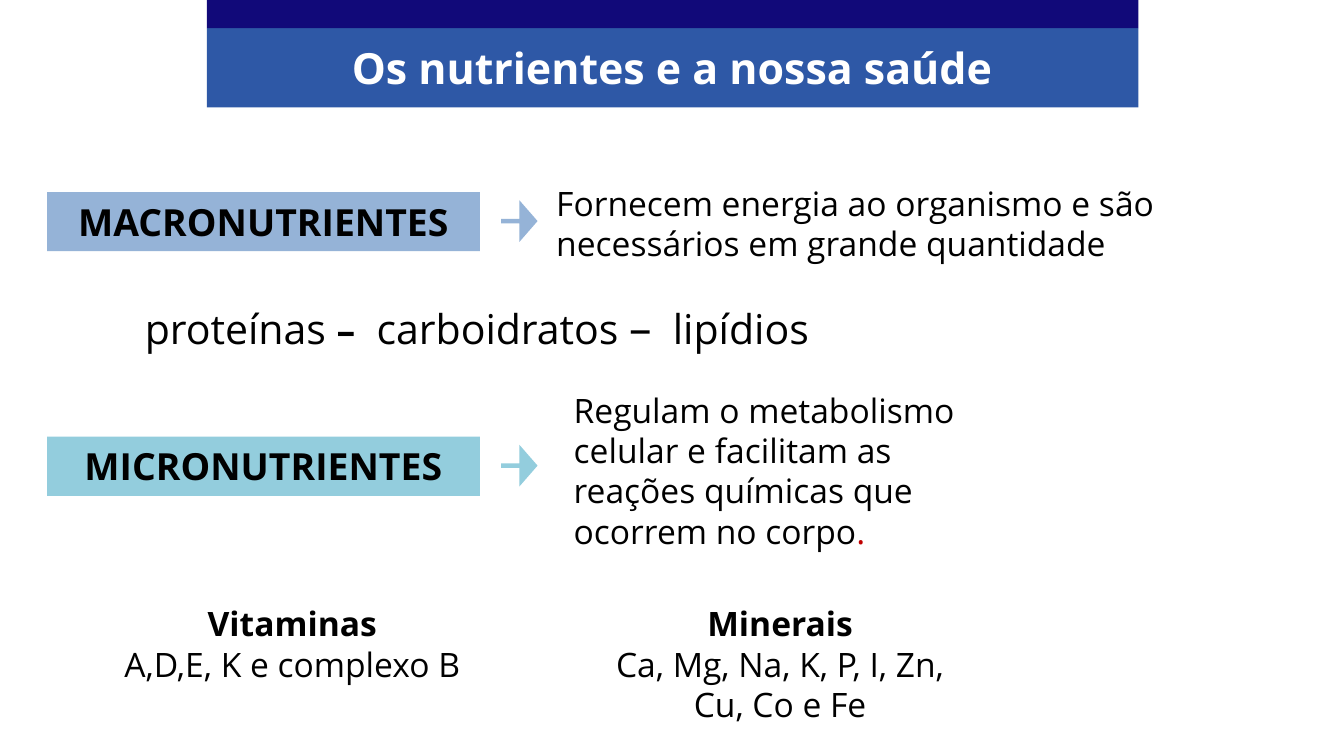
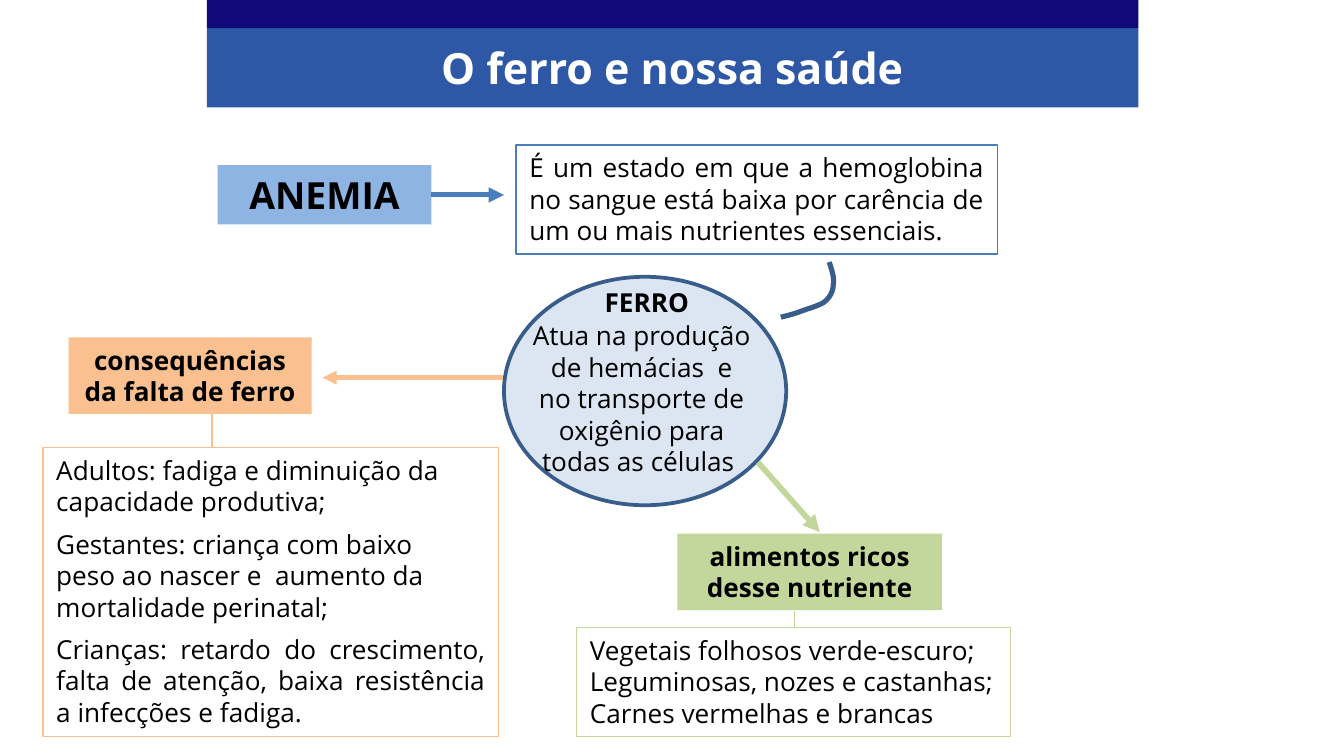
from dataclasses import dataclass
from typing import Optional

from lxml import etree
from pptx import Presentation
from pptx import util as u
from pptx.dml import color
from pptx.enum import shapes, text
from pptx.oxml import ns

LEFT = text.PP_ALIGN.LEFT
CENTER = text.PP_ALIGN.CENTER
JUSTIFY = text.PP_ALIGN.JUSTIFY
RECTANGLE = shapes.MSO_SHAPE.RECTANGLE


@dataclass(frozen=True)
class Theme:
    font: str = "Open Sans"
    white: str = "FFFFFF"
    black: str = "000000"
    red: str = "C00000"
    navy: str = "110979"
    band: str = "2E58A6"
    macro: str = "95B3D7"
    micro: str = "93CDDD"
    anemia: str = "8EB4E3"
    anemia_line: str = "4A7EBB"
    iron: str = "DCE6F2"
    iron_line: str = "385D8A"
    effects: str = "FAC090"
    foods: str = "C3D69B"
    title: float = 23
    label: float = 20
    nutrients: float = 22
    dash: float = 24
    body: float = 18
    small: float = 14


THEME = Theme()


@dataclass(frozen=True)
class Area:
    left: float
    top: float
    width: float
    height: float

    def lengths(self) -> tuple:
        return tuple(u.Inches(n) for n in (self.left, self.top, self.width, self.height))


@dataclass(frozen=True)
class Span:
    words: str
    size: float = THEME.small
    bold: bool = False
    color: str = THEME.black


@dataclass(frozen=True)
class Para:
    spans: tuple
    align: text.PP_ALIGN = LEFT
    after: float = 0


@dataclass(frozen=True)
class Block:
    area: Area
    paras: tuple = ()
    fill: Optional[str] = None
    line: Optional[str] = None
    weight: float = 0.75
    kind: shapes.MSO_SHAPE = RECTANGLE


@dataclass(frozen=True)
class Link:
    start: tuple
    end: tuple
    color: str
    weight: float
    arrow: bool = False


def rgb(value: str) -> color.RGBColor:
    return color.RGBColor.from_string(value)


def single(words: str, size: float = THEME.small, align: text.PP_ALIGN = LEFT,
           bold: bool = False, ink: str = THEME.black, after: float = 0) -> Para:
    return Para((Span(words, size, bold, ink),), align, after)


def write(frame, paras: tuple) -> None:
    frame.word_wrap = True
    frame.vertical_anchor = text.MSO_ANCHOR.TOP
    frame.auto_size = text.MSO_AUTO_SIZE.SHAPE_TO_FIT_TEXT
    for index, item in enumerate(paras):
        para = frame.add_paragraph() if index else frame.paragraphs[0]
        para.alignment = item.align
        para.space_after = u.Pt(item.after)
        for part in item.spans:
            for row, words in enumerate(part.words.split("\n")):
                if row:
                    para.add_line_break()
                span = para.add_run()
                span.text = words
                span.font.name = THEME.font
                span.font.size = u.Pt(part.size)
                span.font.bold = part.bold
                span.font.color.rgb = rgb(part.color)


def paint(shape, fill: Optional[str], line: Optional[str], weight: float) -> None:
    shape.shadow.inherit = False
    if fill:
        shape.fill.solid()
        shape.fill.fore_color.rgb = rgb(fill)
    else:
        shape.fill.background()
    if line:
        shape.line.color.rgb = rgb(line)
        shape.line.width = u.Pt(weight)
    else:
        shape.line.fill.background()


def draw_block(page, block: Block):
    if block.fill or block.line:
        box = page.shapes.add_shape(block.kind, *block.area.lengths())
        paint(box, block.fill, block.line, block.weight)
    else:
        box = page.shapes.add_textbox(*block.area.lengths())
    if block.paras:
        write(box.text_frame, block.paras)
    return box


def draw_link(page, link: Link):
    ends = [u.Inches(n) for n in link.start + link.end]
    connector = page.shapes.add_connector(shapes.MSO_CONNECTOR.STRAIGHT, *ends)
    connector.line.color.rgb = rgb(link.color)
    connector.line.width = u.Pt(link.weight)
    if link.arrow:
        outline = connector.line._get_or_add_ln()
        etree.SubElement(outline, ns.qn("a:tailEnd"), type="triangle")
    etree.SubElement(connector._element.spPr, ns.qn("a:effectLst"))
    return connector


def draw_curve(page, start: tuple, curves: tuple, line: str, weight: float) -> None:
    steps = 8
    points = []
    origin = start
    for first, second, end in curves:
        for step in range(1, steps + 1):
            t = step / steps
            points.append(tuple(
                u.Inches((1 - t) ** 3 * a + 3 * (1 - t) ** 2 * t * b
                         + 3 * (1 - t) * t ** 2 * c + t ** 3 * d)
                for a, b, c, d in zip(origin, first, second, end)))
        origin = end
    builder = page.shapes.build_freeform(u.Inches(start[0]), u.Inches(start[1]))
    builder.add_line_segments(points, close=False)
    paint(builder.convert_to_shape(), None, line, weight)


def add_page(deck, title: str):
    page = deck.slides.add_slide(deck.slide_layouts[6])
    heading = single(title, THEME.title, CENTER, True, THEME.white)
    for block in (
        Block(Area(1.54, 0.21, 6.93, 0.59), fill=THEME.band),
        Block(Area(1.54, 0, 6.93, 0.21), fill=THEME.navy),
        Block(Area(1.54, 0.26, 6.93, 0.49), (heading,)),
    ):
        draw_block(page, block)
    return page


def draw_nutrient_group(page, label: str, top: float, fill: str) -> None:
    draw_block(page, Block(Area(0.35, top, 3.22, 0.44),
                           (single(label, THEME.label, CENTER, True),), fill))
    arrow = draw_block(page, Block(Area(3.73, top + 0.06, 0.27, 0.31), fill=fill,
                                   kind=shapes.MSO_SHAPE.RIGHT_ARROW))
    arrow.adjustments[0] = 0.11
    arrow.adjustments[1] = 0.5


def build_nutrients(deck) -> None:
    page = add_page(deck, "Os nutrientes e a nossa saúde")
    draw_nutrient_group(page, "MACRONUTRIENTES", 1.43, THEME.macro)
    draw_nutrient_group(page, "MICRONUTRIENTES", 3.25, THEME.micro)
    examples = Para((
        Span("proteínas ", THEME.nutrients),
        Span("–", THEME.label, True),
        Span("  carboidratos ", THEME.nutrients),
        Span("–", THEME.dash),
        Span("  lipídios ", THEME.nutrients),
    ), JUSTIFY)
    regulation = Para((
        Span("Regulam o metabolismo celular e facilitam as reações químicas "
             "que ocorrem no corpo", THEME.body),
        Span(".", THEME.body, color=THEME.red),
    ))
    for block in (
        Block(Area(4.04, 1.31, 5.62, 0.71),
              (single("Fornecem energia ao organismo e são necessários em grande "
                      "quantidade", THEME.body),)),
        Block(Area(4.17, 2.85, 3.35, 1.31), (regulation,)),
        Block(Area(0.98, 2.18, 5.43, 0.5), (examples,)),
        Block(Area(0.78, 4.44, 2.79, 0.71),
              (single("Vitaminas", THEME.body, CENTER, True),
               single("A,D,E, K e complexo B", THEME.body, CENTER))),
        Block(Area(4.32, 4.44, 2.97, 1.01),
              (single("Minerais", THEME.body, CENTER, True),
               single("Ca, Mg, Na, K, P, I, Zn, Cu, Co e Fe", THEME.body, CENTER))),
    ):
        draw_block(page, block)


def build_iron(deck) -> None:
    page = add_page(deck, "O ferro e nossa saúde")
    anemia = draw_block(page, Block(
        Area(1.62, 1.23, 1.59, 0.44),
        (single("ANEMIA", THEME.label, CENTER, True),), THEME.anemia))
    definition = single("É um estado em que a hemoglobina no sangue está baixa por "
                        "carência de um ou mais nutrientes essenciais.", align=JUSTIFY)
    role = single("Atua na produção de hemácias  e no transporte de oxigênio para "
                  "todas as células ", align=CENTER)
    foods = tuple(single(words, align=JUSTIFY) for words in (
        "Vegetais folhosos verde-escuro;",
        "Leguminosas, nozes e castanhas;",
        "Carnes vermelhas e brancas",
    ))
    effects = (
        single("Adultos: fadiga e diminuição da capacidade produtiva;", after=6),
        single("Gestantes: criança com baixo \npeso ao nascer e  aumento da "
               "mortalidade perinatal;", after=6),
        single("Crianças: retardo do crescimento, falta de atenção, baixa resistência "
               "a infecções e fadiga.", align=JUSTIFY, after=6),
    )
    for block in (
        Block(Area(3.84, 1.08, 3.58, 0.81), (definition,), line=THEME.anemia_line),
        Block(Area(3.75, 2.06, 2.1, 1.7), fill=THEME.iron, line=THEME.iron_line,
              weight=2, kind=shapes.MSO_SHAPE.OVAL),
        Block(Area(3.86, 2.33, 1.83, 1.28), (role,)),
        Block(Area(4.4, 2.08, 1, 0.34), (single("FERRO", bold=True),)),
        Block(Area(0.51, 2.51, 1.81, 0.57),
              (single("consequências da falta de ferro", align=CENTER, bold=True),),
              THEME.effects),
        Block(Area(5.04, 3.97, 1.97, 0.57),
              (single("alimentos ricos desse nutriente", align=CENTER, bold=True),),
              THEME.foods),
        Block(Area(4.29, 4.67, 3.23, 0.81), foods, line=THEME.foods),
        Block(Area(0.32, 3.33, 3.39, 2.15), effects, line=THEME.effects),
    ):
        draw_block(page, block)
    draw_curve(page, (6.17, 1.95), (
        ((6.19, 2.01), (6.21, 2.07), (6.2, 2.12)),
        ((6.2, 2.17), (6.17, 2.22), (6.13, 2.25)),
        ((6.08, 2.28), (6, 2.3), (5.95, 2.32)),
        ((5.9, 2.34), (5.81, 2.36), (5.81, 2.36)),
    ), THEME.iron_line, 2.75)
    to_definition = draw_link(
        page, Link((3.21, 1.45), (3.75, 1.45), THEME.anemia_line, 2.75, True))
    to_definition.begin_connect(anemia, 3)
    for link in (
        Link((3.74, 2.81), (2.4, 2.81), THEME.effects, 2.5, True),
        Link((1.58, 3.08), (1.58, 3.33), THEME.effects, 1),
        Link((5.91, 4.55), (5.91, 4.67), THEME.foods, 0.75),
        Link((5.64, 3.44), (6.1, 3.96), THEME.foods, 3, True),
    ):
        draw_link(page, link)


def main() -> None:
    deck = Presentation()
    deck.slide_width = u.Inches(10)
    deck.slide_height = u.Inches(10 * 9 / 16)
    build_nutrients(deck)
    build_iron(deck)
    deck.save("out.pptx")


if __name__ == "__main__":
    main()
